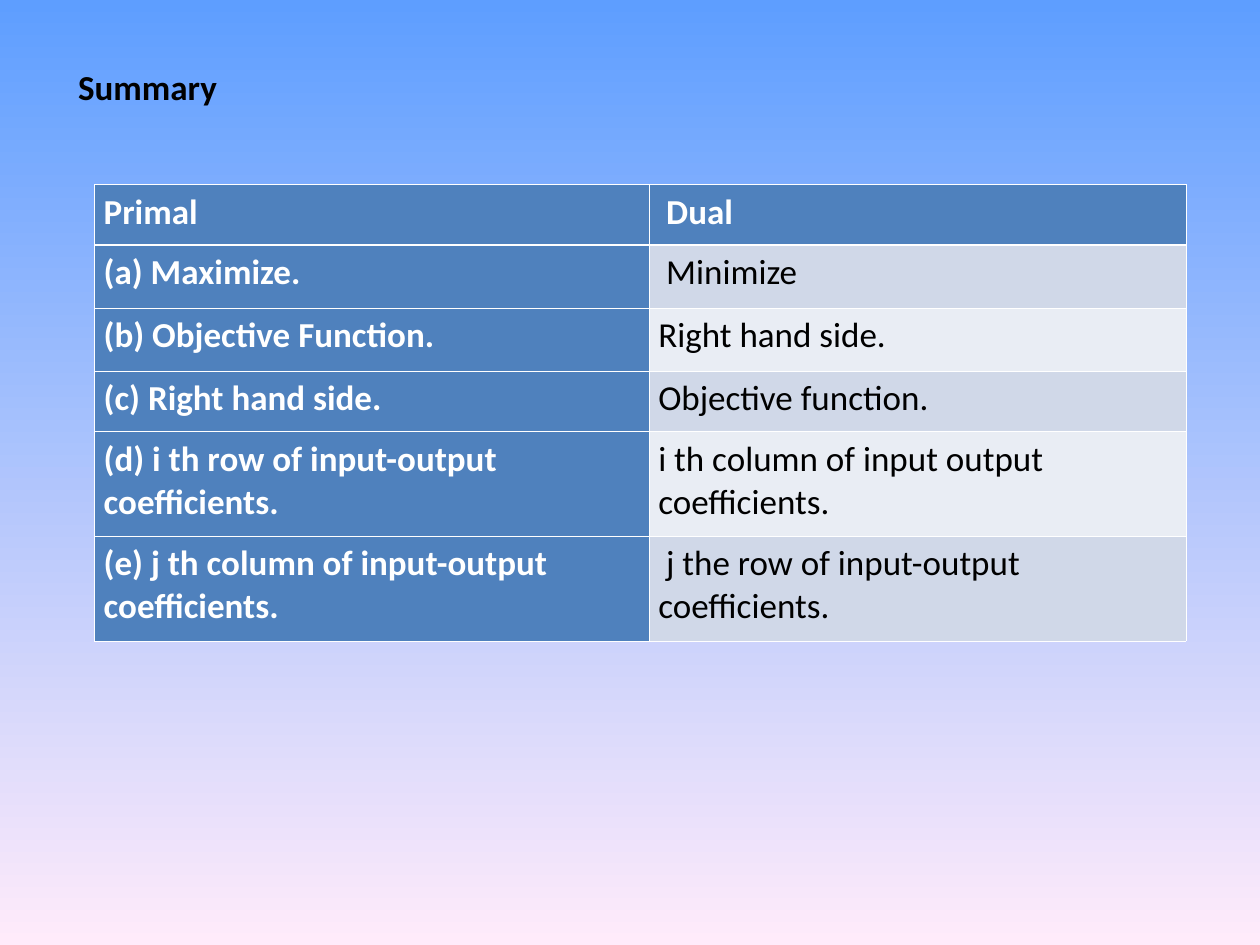
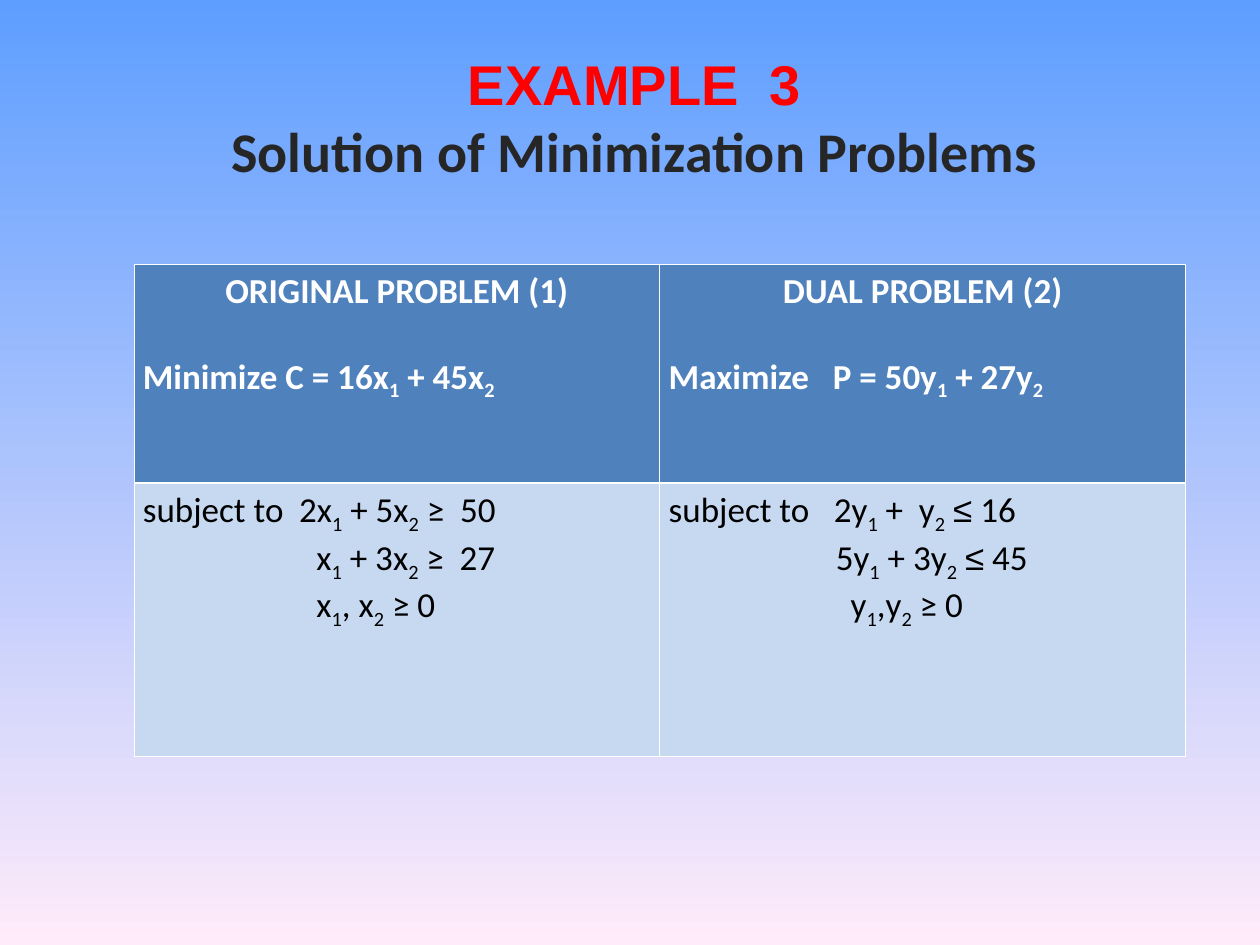
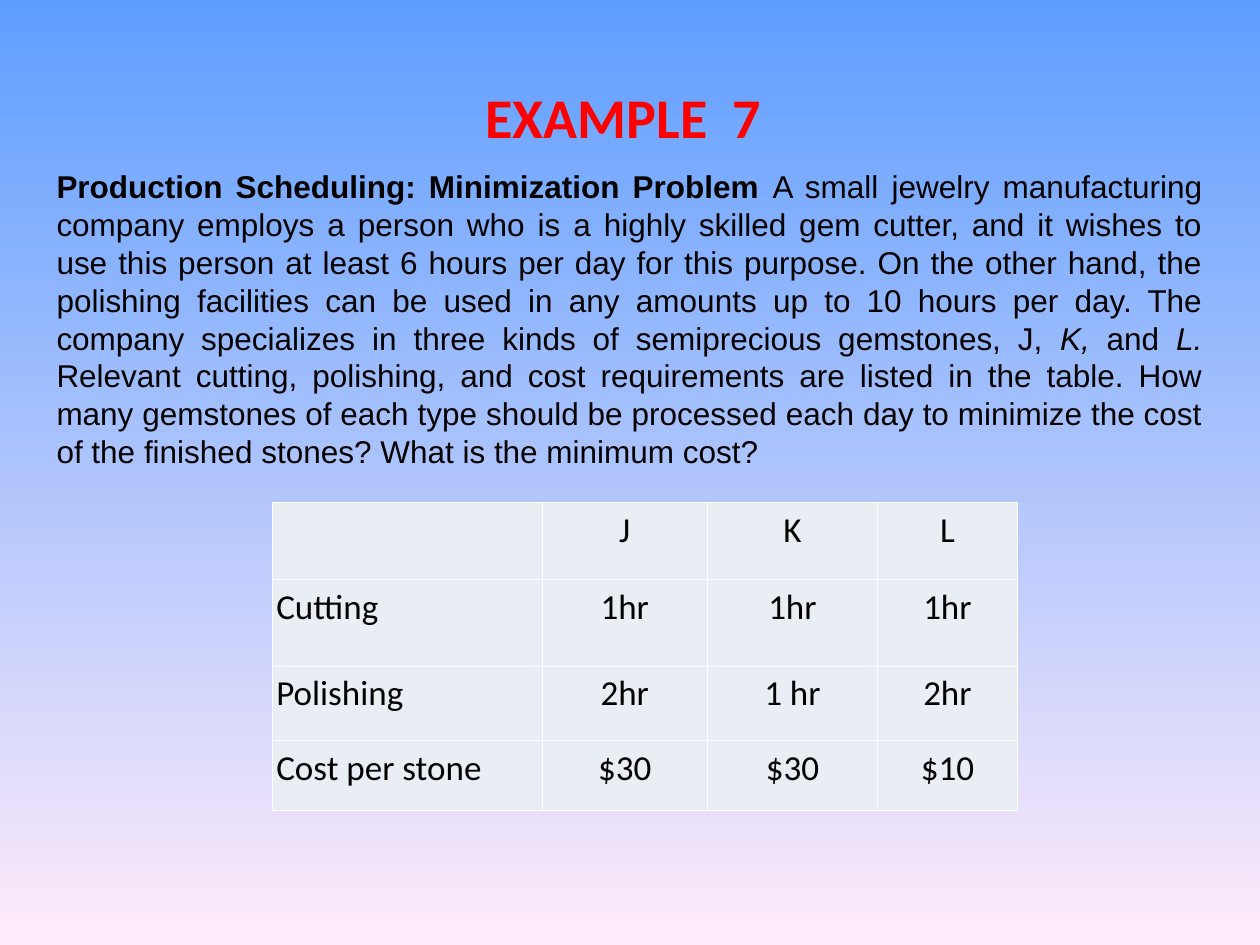
from itertools import groupby

from lxml import etree
from pptx import Presentation
from pptx.dml.color import RGBColor
from pptx.enum import text as t
from pptx.oxml import ns
from pptx.util import Cm, Pt

SKY = RGBColor(0x5E, 0x9E, 0xFF)
ROSE = RGBColor(0xFF, 0xEB, 0xFA)
BLUE = RGBColor(0x4F, 0x81, 0xBD)
BAND_DARK = RGBColor(0xD0, 0xD8, 0xE8)
BAND_LIGHT = RGBColor(0xE9, 0xED, 0xF4)
PALE_BLUE = RGBColor(0xC6, 0xD9, 0xF1)
WHITE = RGBColor(0xFF, 0xFF, 0xFF)
BLACK = RGBColor(0, 0, 0)
CHARCOAL = RGBColor(0x26, 0x26, 0x26)
RED = RGBColor(0xFF, 0, 0)

THIN, THICK = Pt(0.45), Pt(1.47)
TABLE_SIZE, TITLE_SIZE = 20, 32
SUBSCRIPT = "-25000"
CENTER = t.PP_ALIGN.CENTER

SUMMARY = [
    ("Primal", " Dual"),
    ("(a) Maximize.", " Minimize"),
    ("(b) Objective Function.", "Right hand side."),
    ("(c) Right hand side.", "Objective function."),
    ("(d) i th row of input-output coefficients.",
     "i th column of input output coefficients."),
    ("(e) j th column of input-output coefficients.",
     " j the row of input-output coefficients."),
]

# Heading, objective, and constraints with the indent (cm) at which each begins
PROBLEMS = [
    ("ORIGINAL PROBLEM (1)", "Minimize C = 16x1 + 45x2",
     [(3.15, "subject to\t2x1 + 5x2 ≥  50"),
      (3.5, "x1 + 3x2 ≥  27"),
      (3.5, "x1, x2 ≥ 0")]),
    ("DUAL PROBLEM (2)", "Maximize   P = 50y1 + 27y2",
     [(3.33, "subject to\t2y1 +  y2 ≤ 16"),
      (3.37, "5y1 + 3y2 ≤ 45"),
      (3.67, "y1,y2 ≥ 0")]),
]

# Text, bold, italic
SCHEDULING = [
    ("Production Scheduling: Minimization Problem ", True, False),
    ("A small jewelry manufacturing company employs a person who is a highly "
     "skilled gem cutter, and it wishes to use this person at least 6 hours per "
     "day for this purpose. On the other hand, the polishing facilities can be "
     "used in any amounts up to 10 hours per day. The company specializes in "
     "three kinds of semiprecious gemstones, J, ", False, False),
    ("K, ", False, True),
    ("and ", False, False),
    ("L. ", False, True),
    ("Relevant cutting, polishing, and cost requirements are listed in the "
     "table. How many gemstones of each type should be processed each day to "
     "minimize the cost of the finished stones? What is the minimum cost?",
     False, False),
]

GEMSTONES = [
    ("", "J", "K", "L"),
    ("Cutting", "1hr", "1hr", "1hr"),
    ("Polishing", "2hr", "1 hr", "2hr"),
    ("Cost per stone", "$30", "$30", "$10"),
]


def style_run(run, size, color, bold=False, italic=False, name="Calibri"):
    font = run.font
    font.size, font.name = Pt(size), name
    font.bold, font.italic = bold, italic
    font.color.rgb = color


def set_background(master):
    fill = master.background.fill
    fill.gradient()
    fill.gradient_angle = 270
    for stop, color in zip(fill.gradient_stops, (SKY, ROSE)):
        stop.color.rgb = color


def add_title_slide(presentation, box, text):
    """Add a title-only slide and place its title in box (cm)."""
    slide = presentation.slides.add_slide(presentation.slide_layouts[5])
    title = slide.shapes.title
    title.left, title.top, title.width, title.height = map(Cm, box)
    frame = title.text_frame
    frame.text = text
    frame.auto_size = t.MSO_AUTO_SIZE.NONE
    frame.vertical_anchor = t.MSO_ANCHOR.MIDDLE
    return slide, frame


def set_borders(cell, top, bottom):
    properties = cell._tc.get_or_add_tcPr()
    for side, width in (("L", THIN), ("R", THIN), ("T", top), ("B", bottom)):
        line = etree.SubElement(properties, ns.qn(f"a:ln{side}"), w=str(width))
        fill = etree.SubElement(line, ns.qn("a:solidFill"))
        etree.SubElement(fill, ns.qn("a:srgbClr"), val=str(WHITE))


def add_grid(slide, left, top, widths, heights, inset=0.18, header_rule=THIN):
    """Add an empty white-ruled table; lengths in cm."""
    shape = slide.shapes.add_table(
        len(heights), len(widths), Cm(left), Cm(top),
        Cm(sum(widths)), Cm(sum(heights)))
    table = shape.table
    table.first_row = table.horz_banding = False
    for column, width in zip(table.columns, widths):
        column.width = Cm(width)
    for index, (row, height) in enumerate(zip(table.rows, heights)):
        row.height = Cm(height)
        for cell in row.cells:
            cell.margin_left = cell.margin_right = Cm(inset)
            set_borders(cell, header_rule if index == 1 else THIN,
                        header_rule if index == 0 else THIN)
    return table


def fill_cell(cell, text, fill, color=BLACK, bold=False, align=None):
    cell.fill.solid()
    cell.fill.fore_color.rgb = fill
    cell.text = text
    paragraph = cell.text_frame.paragraphs[0]
    paragraph.alignment = align
    for run in paragraph.runs:
        style_run(run, TABLE_SIZE, color, bold)


def write_formula(paragraph, formula, color, bold=False):
    """Write a formula, lowering the index after each variable x or y."""
    def kind(index):
        if index and formula[index].isdigit() and formula[index - 1] in "xy":
            return "index"
        return "sign" if formula[index] == "≤" else "plain"

    for name, positions in groupby(range(len(formula)), kind):
        run = paragraph.add_run()
        run.text = "".join(formula[i] for i in positions)
        style_run(run, TABLE_SIZE, color, bold,
                  name="Arial" if name == "sign" else "Calibri")
        if name == "index":
            run.font._element.set("baseline", SUBSCRIPT)


def indent_paragraph(paragraph, indent, hanging):
    properties = paragraph._p.get_or_add_pPr()
    properties.set("marL", str(Cm(indent)))
    properties.set("indent", str(-Cm(indent) if hanging else 0))


def fill_problem(header, body, heading, objective, constraints):
    fill_cell(header, heading, BLUE, WHITE, True, CENTER)
    paragraph = header.text_frame.add_paragraph()
    paragraph.space_before = Pt(24.4)
    write_formula(paragraph, objective, WHITE, True)

    fill_cell(body, "", PALE_BLUE)
    frame = body.text_frame
    for index, (indent, formula) in enumerate(constraints):
        paragraph = frame.add_paragraph() if index else frame.paragraphs[0]
        indent_paragraph(paragraph, indent, "\t" in formula)
        write_formula(paragraph, formula, BLACK)


def add_statement(slide, box):
    frame = slide.shapes.add_textbox(*map(Cm, box)).text_frame
    frame.word_wrap = True
    paragraph = frame.paragraphs[0]
    paragraph.alignment = t.PP_ALIGN.JUSTIFY
    for text, bold, italic in SCHEDULING:
        run = paragraph.add_run()
        run.text = text
        style_run(run, 18, BLACK, bold, italic, "Arial")


def build_summary(presentation):
    slide, title = add_title_slide(
        presentation, (1.32, 1.19, 3.8, 1.12), "Summary")
    title.paragraphs[0].alignment = t.PP_ALIGN.LEFT
    style_run(title.paragraphs[0].runs[0], 20, BLACK, True)
    table = add_grid(slide, 1.91, 3.72, (11.18, 10.82),
                     (1.22, 1.27, 1.27, 1.22, 2.11, 2.11), header_rule=THICK)
    for index, (primal, dual) in enumerate(SUMMARY):
        fill_cell(table.cell(index, 0), primal, BLUE, WHITE, True)
        if index == 0:
            fill_cell(table.cell(index, 1), dual, BLUE, WHITE, True)
        else:
            band = BAND_DARK if index % 2 else BAND_LIGHT
            fill_cell(table.cell(index, 1), dual, band)


def build_minimization(presentation):
    slide, title = add_title_slide(
        presentation, (1.1, 0.89, 23.39, 2.92),
        "EXAMPLE  3\nSolution of Minimization Problems")
    for paragraph, color, name in zip(
            title.paragraphs, (RED, CHARCOAL), ("Arial", "Calibri")):
        paragraph.alignment = CENTER
        style_run(paragraph.runs[0], TITLE_SIZE, color, True, name=name)
    table = add_grid(slide, 2.7, 5.32, (10.6, 10.6), (4.42, 5.51),
                     header_rule=THICK)
    for column, problem in enumerate(PROBLEMS):
        fill_problem(table.cell(0, column), table.cell(1, column), *problem)


def build_scheduling(presentation):
    slide, title = add_title_slide(
        presentation, (1.27, 0.76, 22.86, 3.18), "EXAMPLE  7 ")
    title.paragraphs[0].alignment = CENTER
    style_run(title.paragraphs[0].runs[0], TITLE_SIZE, RED, True)
    add_statement(slide, (0.89, 3.25, 23.6, 6.35))
    table = add_grid(slide, 5.49, 10.13, (5.44, 3.33, 3.43, 2.82),
                     (1.55, 1.75, 1.5, 1.4), inset=0.08)
    for row, values in enumerate(GEMSTONES):
        for column, value in enumerate(values):
            fill_cell(table.cell(row, column), value, BAND_LIGHT,
                      align=CENTER if column else None)


def main():
    presentation = Presentation()
    presentation.slide_width, presentation.slide_height = Cm(25.4), Cm(19.05)
    set_background(presentation.slide_master)
    build_summary(presentation)
    build_minimization(presentation)
    build_scheduling(presentation)
    presentation.save("out.pptx")


if __name__ == "__main__":
    main()
